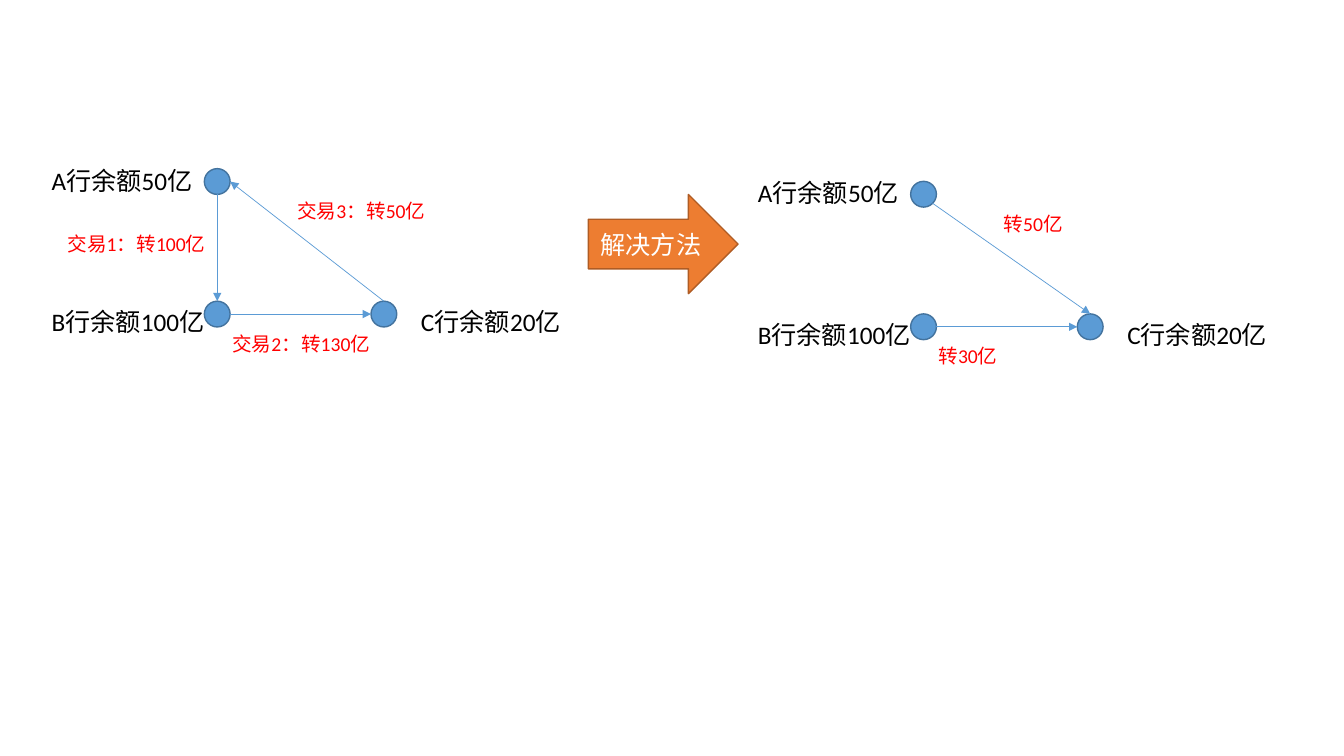
from lxml.etree import SubElement
from pptx import Presentation
from pptx.dml.color import RGBColor
from pptx.enum.shapes import MSO_CONNECTOR as Connector, MSO_SHAPE as Shape
from pptx.enum.text import MSO_ANCHOR as Anchor, MSO_AUTO_SIZE as AutoSize, PP_ALIGN as Align
from pptx.oxml.ns import qn
from pptx.util import Cm, Pt

BLUE, ORANGE, RED = "5B9BD5", "ED7D31", "FF0000"
DIAMETER = 0.65
SIDES = {"top": (0.5, 0), "bottom": (0.5, 1), "left": (0, 0.5),
         "right": (1, 0.5), "lower right": (0.85, 0.85)}


def write(frame, text, size=18, color="000000", align=Align.LEFT, anchor=Anchor.TOP):
    frame.word_wrap = True
    frame.vertical_anchor = anchor
    para = frame.paragraphs[0]
    para.alignment = align
    span = para.add_run()
    span.text = text
    span.font.name = "Calibri"
    span.font.size = Pt(size)
    span.font.color.rgb = RGBColor.from_string(color)


def add_solid(kind, left, top, width, height, fill, line):
    solid = page.shapes.add_shape(kind, Cm(left), Cm(top), Cm(width), Cm(height))
    solid.shadow.inherit = False
    solid.fill.solid()
    solid.fill.fore_color.rgb = RGBColor.from_string(fill)
    solid.line.color.rgb = RGBColor.from_string(line)
    solid.line.width = Pt(1)
    return solid


deck = Presentation()
deck.slide_width, deck.slide_height = Cm(33.87), Cm(19.05)
page = deck.slides.add_slide(deck.slide_layouts[6])

banks = {"A": (5.15, 4.25), "B": (5.15, 7.59), "C": (9.35, 7.59)}
balances = [
    ("A行余额50亿", 1.05, 4.03, 4.08),
    ("B行余额100亿", 1.05, 7.6, 4.4),
    ("C行余额20亿", 10.36, 7.6, 4.06),
]
networks = [
    (0, 0,
     [("A", "bottom", "B", "top"), ("B", "right", "C", "left"), ("C", "top", "A", "right")],
     [("交易1：转100亿", 1.45, 5.71, 4.01),
      ("交易2：转130亿", 5.6, 8.23, 4.01),
      ("交易3：转50亿", 7.24, 4.9, 3.76)]),
    (17.8, 0.32,
     [("B", "right", "C", "left"), ("A", "lower right", "C", "top")],
     [("转30亿", 5.6, 8.23, 2.01), ("转50亿", 7.24, 4.9, 2.01)]),
]

for shift_x, shift_y, transfers, amounts in networks:
    for left, top in banks.values():
        add_solid(Shape.OVAL, left + shift_x, top + shift_y, DIAMETER, DIAMETER, BLUE, "43739E")

    for source, source_side, target, target_side in transfers:
        ends = []
        for bank, side in ((source, source_side), (target, target_side)):
            (left, top), (across, down) = banks[bank], SIDES[side]
            ends += [Cm(left + shift_x + across * DIAMETER), Cm(top + shift_y + down * DIAMETER)]
        arrow = page.shapes.add_connector(Connector.STRAIGHT, *ends)
        arrow.line.color.rgb = RGBColor.from_string(BLUE)
        arrow.line.width = Pt(0.5)
        SubElement(arrow.line._get_or_add_ln(), qn("a:tailEnd"), type="triangle")
        SubElement(arrow._element.spPr, qn("a:effectLst"))

    for labels, size, color, height in ((balances, 18, "000000", 1.03), (amounts, 14, RED, 0.85)):
        for text, left, top, width in labels:
            box = page.shapes.add_textbox(Cm(left + shift_x), Cm(top + shift_y), Cm(width), Cm(height))
            box.text_frame.auto_size = AutoSize.SHAPE_TO_FIT_TEXT
            write(box.text_frame, text, size=size, color=color)

solution = add_solid(Shape.RIGHT_ARROW, 14.83, 4.9, 3.77, 2.5, ORANGE, "AF5C24")
write(solution.text_frame, "解决方法", color="FFFFFF", align=Align.CENTER, anchor=Anchor.MIDDLE)

deck.save("out.pptx")
